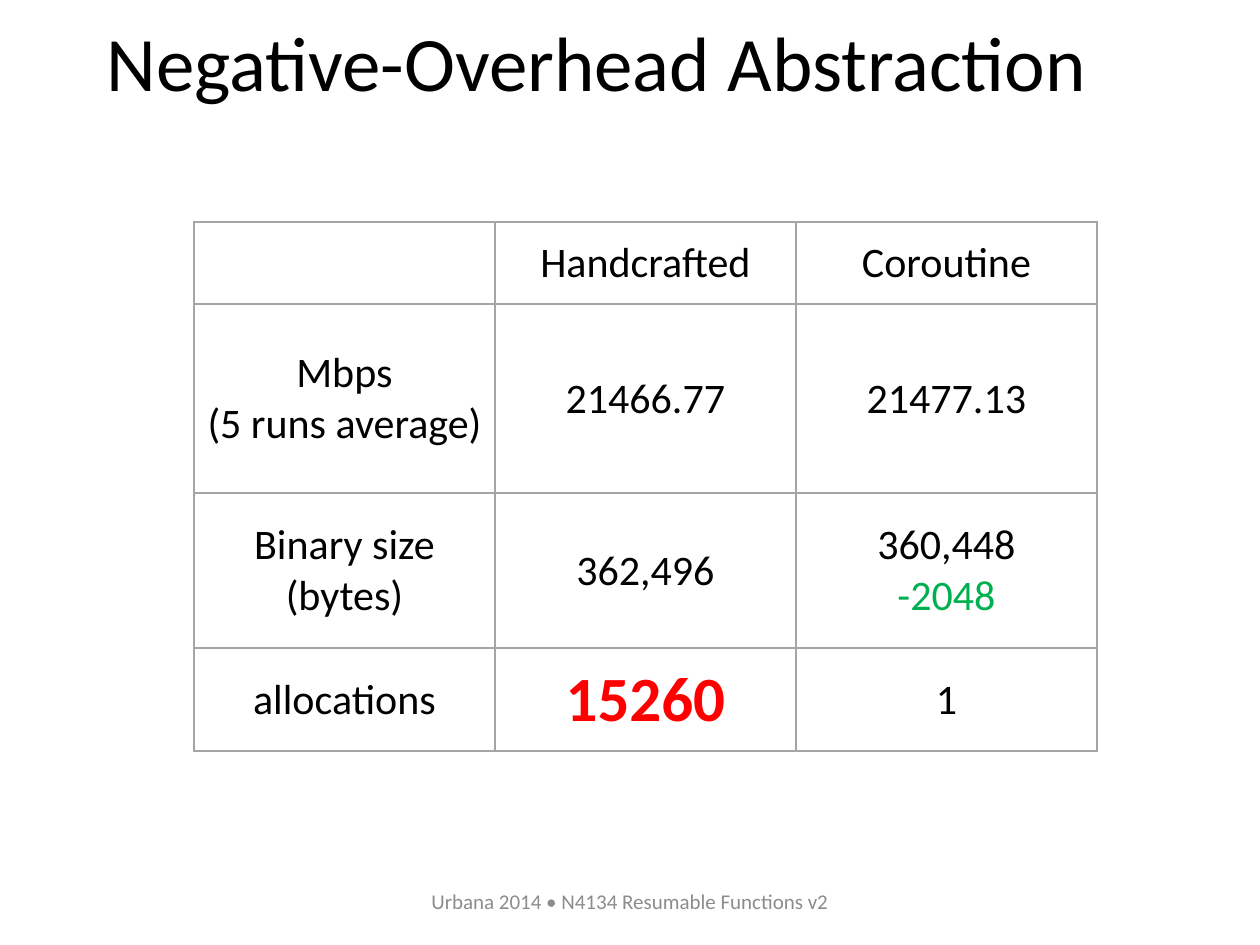
from lxml import etree
from pptx import Presentation
from pptx.dml.color import RGBColor
from pptx.enum.text import MSO_ANCHOR, PP_ALIGN
from pptx.oxml.ns import qn
from pptx.util import Pt

MIDDLE = MSO_ANCHOR.MIDDLE
LEFT, CENTER = PP_ALIGN.LEFT, PP_ALIGN.CENTER
BLACK = RGBColor(0x00, 0x00, 0x00)
GRAY = RGBColor(0x8C, 0x8C, 0x8C)
GREEN = RGBColor(0x00, 0xB0, 0x50)
RED = RGBColor(0xFF, 0x00, 0x00)
BORDER = RGBColor(0xA5, 0xA5, 0xA5)
FONT = "Calibri"
SCALE = 914400 / 126

ROWS = [
    ["", "Handcrafted", "Coroutine"],
    ["Mbps\n(5 runs average)", "21466.77", "21477.13"],
    ["Binary size\n(bytes)", "362,496", "360,448\n-2048"],
    ["allocations", "15260", "1"],
]
ROW_HEIGHTS = [82, 189, 155, 103]


def px(length):
    return round(length * SCALE)


def style_para(para, size, color, align, bold=False):
    para.alignment = align
    for span in para.runs:
        span.font.name = FONT
        span.font.size = Pt(size)
        span.font.bold = bold
        span.font.color.rgb = color


def add_line(page, box, text, size, color, align):
    frame = page.shapes.add_textbox(*map(px, box)).text_frame
    frame.word_wrap = True
    frame.vertical_anchor = MIDDLE
    frame.text = text
    para = frame.paragraphs[0]
    style_para(para, size, color, align)
    return para


def add_title(page, box):
    para = add_line(page, box, "Negative-Overhead Abstraction", 44, BLACK, LEFT)
    para.line_spacing = 0.9


def add_footer(page, box):
    add_line(page, box, "Urbana 2014 • N4134 Resumable Functions v2", 12, GRAY, CENTER)


def set_borders(cell):
    properties = cell._tc.get_or_add_tcPr()
    for index, side in enumerate(("lnL", "lnR", "lnT", "lnB")):
        line = etree.Element(qn(f"a:{side}"), w=str(Pt(1)))
        fill = etree.SubElement(line, qn("a:solidFill"))
        etree.SubElement(fill, qn("a:srgbClr"), val=str(BORDER))
        properties.insert(index, line)


def fill_cell(cell, text):
    cell.fill.background()
    cell.vertical_anchor = MIDDLE
    cell.margin_left = cell.margin_right = cell.margin_top = px(1)
    cell.margin_bottom = 0
    set_borders(cell)
    cell.text = text
    for para in cell.text_frame.paragraphs:
        style_para(para, 24, BLACK, CENTER)


def add_results(page, box):
    table = page.shapes.add_table(len(ROWS), len(ROWS[0]), *map(px, box)).table
    table.first_row = False
    table.horz_banding = False
    for column in table.columns:
        column.width = px(box[2] // len(ROWS[0]))
    for row, height in zip(table.rows, ROW_HEIGHTS):
        row.height = px(height)
    for row, texts in zip(table.rows, ROWS):
        for cell, text in zip(row.cells, texts):
            fill_cell(cell, text)
    style_para(table.cell(2, 2).text_frame.paragraphs[1], 24, GREEN, CENTER)
    style_para(table.cell(3, 1).text_frame.paragraphs[0], 36, RED, CENTER, bold=True)


def main():
    deck = Presentation()
    deck.slide_width, deck.slide_height = px(1260), px(945)
    page = deck.slides.add_slide(deck.slide_layouts[6])
    add_title(page, (94, 10, 1086, 113))
    add_footer(page, (417, 876, 426, 50))
    add_results(page, (194, 222, 903, sum(ROW_HEIGHTS)))
    deck.save("out.pptx")


if __name__ == "__main__":
    main()
